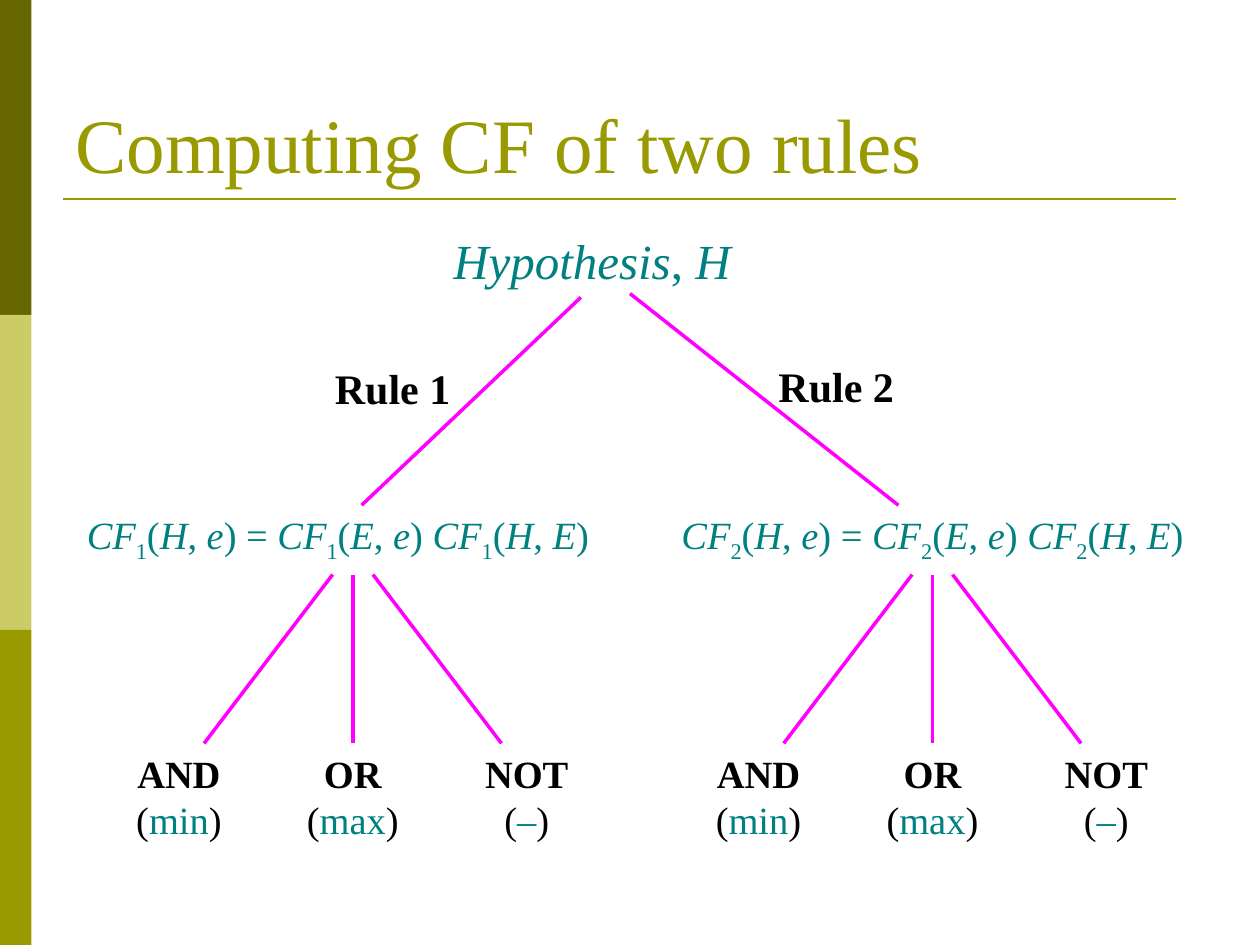
from dataclasses import dataclass

from lxml import etree
from pptx import Presentation
from pptx.dml.color import RGBColor
from pptx.enum.shapes import MSO_CONNECTOR, MSO_SHAPE
from pptx.enum.text import MSO_ANCHOR, PP_ALIGN
from pptx.oxml.ns import qn
from pptx.util import Inches, Pt

RECTANGLE = MSO_SHAPE.RECTANGLE
STRAIGHT = MSO_CONNECTOR.STRAIGHT
TOP, BOTTOM = MSO_ANCHOR.TOP, MSO_ANCHOR.BOTTOM
LEFT, CENTER = PP_ALIGN.LEFT, PP_ALIGN.CENTER


@dataclass(frozen=True)
class Theme:
    font: str = "Times New Roman"
    olive: str = "999900"
    dark_olive: str = "666600"
    pale_olive: str = "CCCC66"
    teal: str = "008080"
    black: str = "000000"
    branch: str = "FF00FF"
    title_size: int = 44
    hypothesis_size: int = 28
    rule_size: int = 24
    body_size: int = 22


THEME = Theme()
OPERATORS = [("AND", "min"), ("OR", "max"), ("NOT", "–")]
ITALIC = {"italic": True}
SUBSCRIPT = {"subscript": True}


def add_run(paragraph, text, size, color, bold=False, italic=False, subscript=False):
    run = paragraph.add_run()
    run.text = text
    font = run.font
    font.name, font.size = THEME.font, Pt(size)
    font.bold, font.italic = bold, italic
    font.color.rgb = RGBColor.from_string(color)
    if subscript:
        run._r.get_or_add_rPr().set("baseline", "-25000")


def add_text(slide, box, paragraphs, align=LEFT, anchor=TOP, **run_format):
    """Add paragraphs, each a list of (text, changes to run_format) pairs."""
    frame = slide.shapes.add_textbox(*map(Inches, box)).text_frame
    frame.word_wrap = True
    frame.vertical_anchor = anchor
    for index, runs in enumerate(paragraphs):
        paragraph = frame.paragraphs[0] if index == 0 else frame.add_paragraph()
        paragraph.alignment = align
        for text, changes in runs:
            add_run(paragraph, text, **{**run_format, **changes})


def add_line(slide, start, end, color=THEME.branch, width=2):
    line = slide.shapes.add_connector(STRAIGHT, *map(Inches, (*start, *end)))
    line.line.color.rgb = RGBColor.from_string(color)
    line.line.width = Pt(width)
    etree.SubElement(line._element.spPr, qn("a:effectLst"))


def add_side_bands(slide):
    height = 2.5
    for row, color in enumerate((THEME.dark_olive, THEME.pale_olive, THEME.olive)):
        box = (0, row * height, 0.25, height)
        band = slide.shapes.add_shape(RECTANGLE, *map(Inches, box))
        band.shadow.inherit = False
        band.fill.solid()
        band.fill.fore_color.rgb = RGBColor.from_string(color)
        band.line.fill.background()


def certainty_factor(rule, first, second):
    return [("CF", ITALIC), (str(rule), SUBSCRIPT), ("(", {}),
            (first, ITALIC), (", ", {}), (second, ITALIC), (")", {})]


def add_formula(slide, rule, left):
    runs = [*certainty_factor(rule, "H", "e"), (" = ", {}),
            *certainty_factor(rule, "E", "e"), (" ", {}),
            *certainty_factor(rule, "H", "E")]
    add_text(slide, (left, 4.01, 4.25, 0.52), [runs],
             size=THEME.body_size, color=THEME.teal)


def add_operators(slide, center):
    """Fan out from a formula to its three operators."""
    for step, (operator, function) in enumerate(OPERATORS, start=-1):
        add_line(slide, (center + step * 0.16, 4.56), (center + step * 1.18, 5.9))
        add_text(slide, (center + step * 1.38 - 0.475, 5.9, 0.95, 0.84),
                 [[(operator, {"bold": True})],
                  [("(", {}), (function, {"color": THEME.teal}), (")", {})]],
                 align=CENTER, size=THEME.body_size, color=THEME.black)


def add_rule(slide, rule, formula_left, operators_center, branch, label_at):
    add_formula(slide, rule, formula_left)
    add_operators(slide, operators_center)
    add_line(slide, *branch)
    add_text(slide, (*label_at, 1.5, 0.5), [[(f"Rule {rule}", {})]],
             size=THEME.rule_size, color=THEME.black, bold=True)


def main():
    presentation = Presentation()
    presentation.slide_width, presentation.slide_height = Inches(10), Inches(7.5)
    slide = presentation.slides.add_slide(presentation.slide_layouts[6])

    add_side_bands(slide)
    add_line(slide, (0.5, 1.58), (9.33, 1.58), color=THEME.olive, width=1.5)
    add_text(slide, (0.5, 0.3, 9, 1.25), [[("Computing CF of two rules", {})]],
             anchor=BOTTOM, size=THEME.title_size, color=THEME.olive)
    add_text(slide, (3.5, 1.78, 2.52, 0.57),
             [[("Hypothesis", ITALIC), (",", {}), (" H", ITALIC)]],
             size=THEME.hypothesis_size, color=THEME.teal)

    add_rule(slide, 1, formula_left=0.59, operators_center=2.8,
             branch=((4.61, 2.36), (2.87, 4.01)), label_at=(2.56, 2.83))
    add_rule(slide, 2, formula_left=5.31, operators_center=7.4,
             branch=((5, 2.33), (7.13, 4.01)), label_at=(6.08, 2.81))

    presentation.save("out.pptx")


if __name__ == "__main__":
    main()
